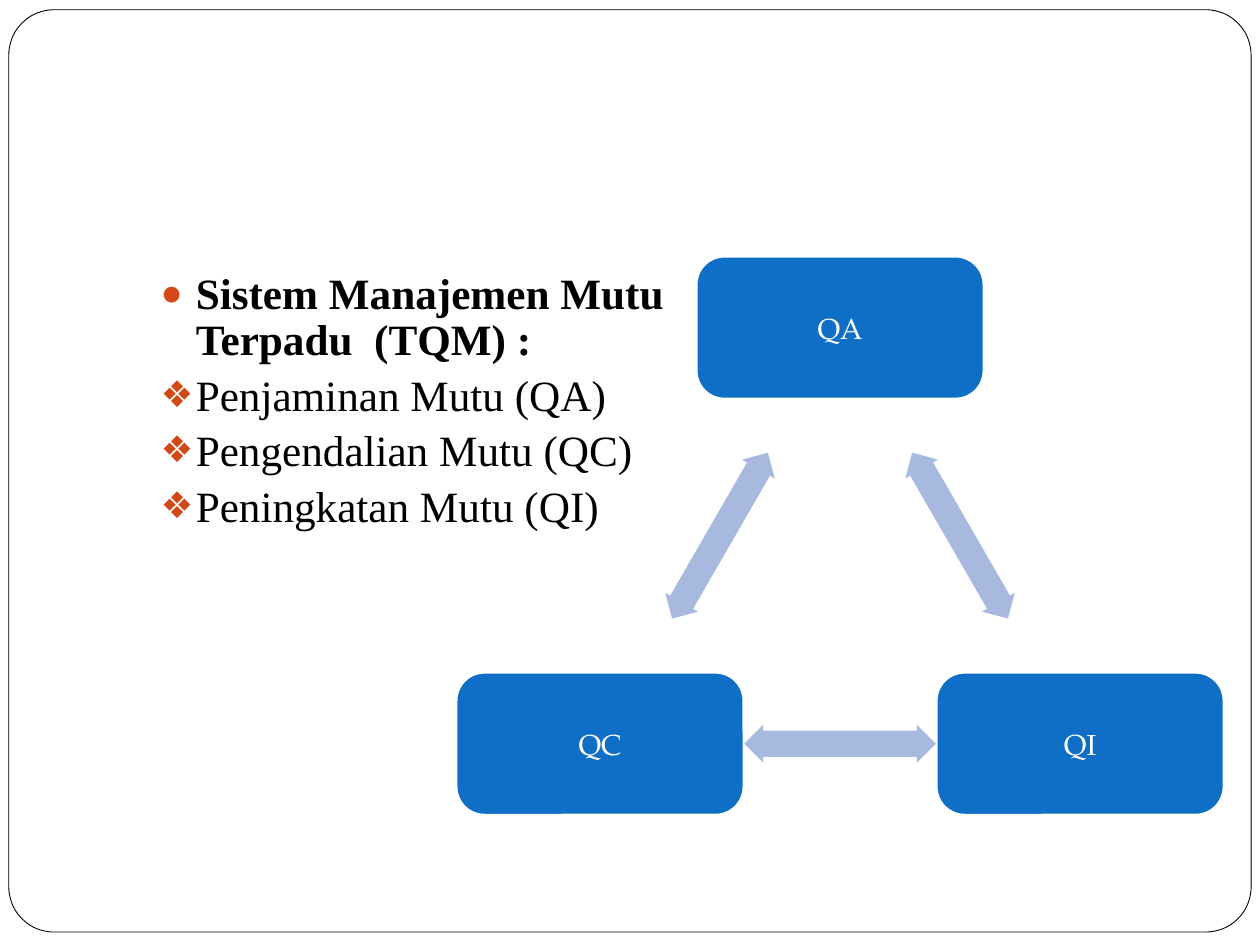
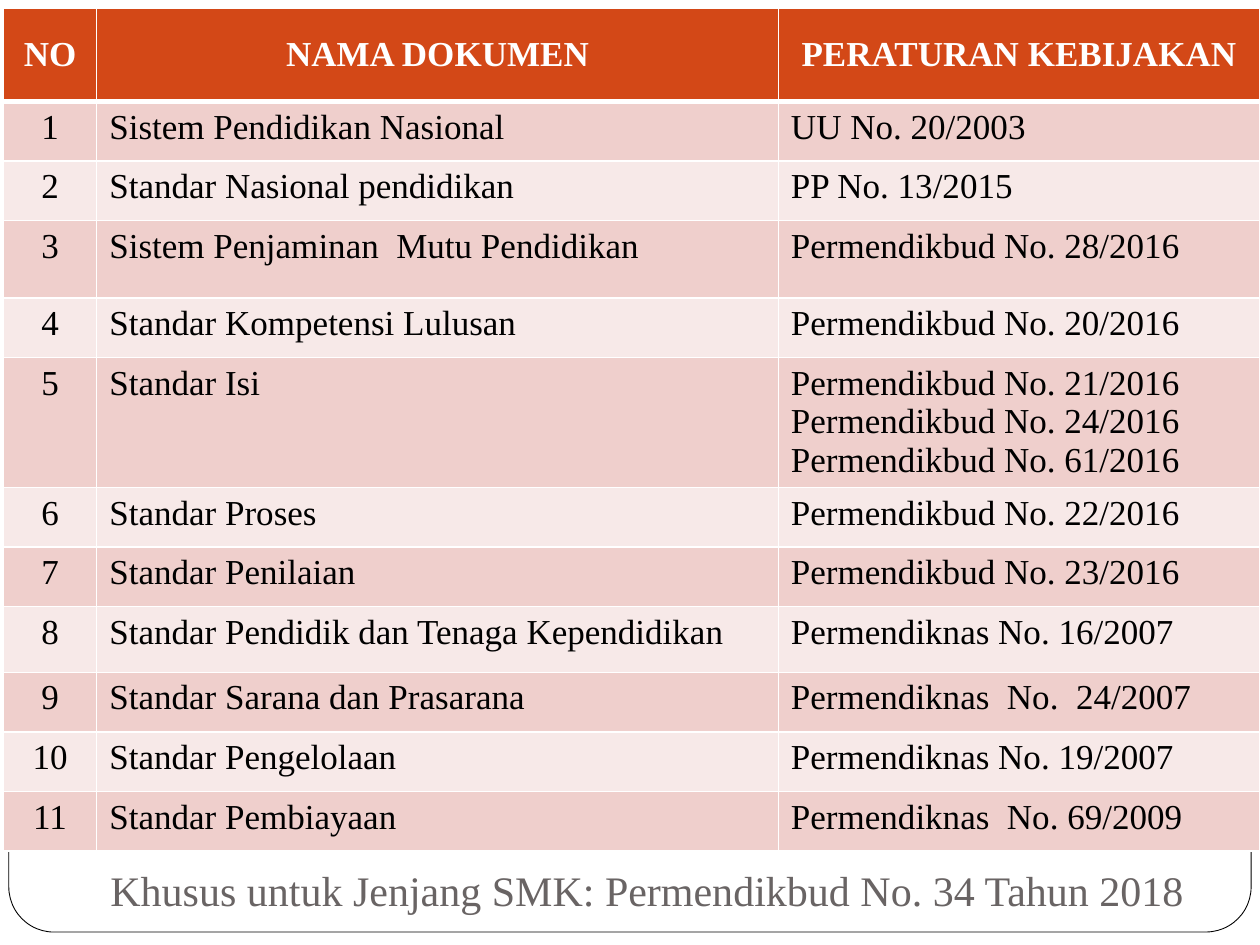
from math import atan2, degrees
from itertools import combinations
from lxml.etree import SubElement
from pptx import Presentation
from pptx.dml.color import RGBColor
from pptx.enum.shapes import MSO_SHAPE
from pptx.enum.text import MSO_ANCHOR, MSO_AUTO_SIZE, PP_ALIGN
from pptx.oxml.ns import qn
from pptx.util import Inches, Pt

W, H = Inches(10), Inches(7.5)
SERIF, PAGELLA = "Times New Roman", "TeX Gyre Pagella"
COLORS = {
    "white": "FFFFFF", "black": "000000", "accent": "D34817", "title": "696464",
    "box": "0F6FC6", "arrow": "A8B9DF", "odd": "EFCFCC", "even": "F7E9E8",
}
HEADING = "Sistem Manajemen Mutu Terpadu  (TQM) :"
POINTS = ["Penjaminan Mutu (QA)", "Pengendalian Mutu (QC)", "Peningkatan Mutu (QI)"]
BOX_CENTERS = {"QA": (66.67, 34.67), "QI": (85.72, 78.7), "QC": (47.62, 78.7)}
BOX_SIZE, ARROW_SIZE = (22.9, 15.2), (15.2, 4)
COLUMN_SHARES = [7.4, 54.1, 38.2]
ROW_SHARE = 6.31
TALL_ROWS = {0: 9.87, 3: 8.16, 5: 13.76, 8: 6.95}
HEADER = ["NO", "NAMA DOKUMEN", "PERATURAN KEBIJAKAN"]
REGULATIONS = [
    ("Sistem Pendidikan Nasional", "UU No. 20/2003"),
    ("Standar Nasional pendidikan", "PP No. 13/2015"),
    ("Sistem Penjaminan  Mutu Pendidikan", "Permendikbud No. 28/2016"),
    ("Standar Kompetensi Lulusan", "Permendikbud No. 20/2016"),
    ("Standar Isi", "Permendikbud No. 21/2016\nPermendikbud No. 24/2016\nPermendikbud No. 61/2016"),
    ("Standar Proses", "Permendikbud No. 22/2016"),
    ("Standar Penilaian", "Permendikbud No. 23/2016"),
    ("Standar Pendidik dan Tenaga Kependidikan", "Permendiknas No. 16/2007"),
    ("Standar Sarana dan Prasarana", "Permendiknas  No.  24/2007"),
    ("Standar Pengelolaan", "Permendiknas No. 19/2007"),
    ("Standar Pembiayaan", "Permendiknas  No. 69/2009"),
]


def color(name):
    """Return a named colour."""
    return RGBColor.from_string(COLORS[name])


def area(left, top, width, height):
    """Turn percentages of the slide into lengths."""
    return [int(share * side / 100) for share, side in zip((left, top, width, height), (W, H, W, H))]


def centered(center, size):
    """Return the area of the given size around a centre."""
    (x, y), (w, h) = center, size
    return area(x - w / 2, y - h / 2, w, h)


def place(sp, box):
    """Move and size a placeholder."""
    sp.left, sp.top, sp.width, sp.height = box


def format_text(tf, size, tone, font=SERIF, bold=False, align=PP_ALIGN.LEFT):
    """Format every run of a text frame."""
    for p in tf.paragraphs:
        p.alignment = align
        for r in p.runs:
            r.font.name, r.font.size, r.font.bold = font, Pt(size), bold
            r.font.color.rgb = color(tone)


def add_shape(s, kind, box, fill, adjustments, line=None, width=0):
    """Add a filled preset shape, with an outline if a line colour is given."""
    sp = s.shapes.add_shape(kind, *box)
    sp.shadow.inherit = False
    sp.fill.solid()
    sp.fill.fore_color.rgb = color(fill)
    for i, value in enumerate(adjustments):
        sp.adjustments[i] = value
    if line:
        sp.line.color.rgb = color(line)
        sp.line.width = Pt(width)
    else:
        sp.line.fill.background()
    return sp


def add_master_frame(prs, s):
    """Put the rounded page frame behind everything on the master."""
    sp = add_shape(s, MSO_SHAPE.ROUNDED_RECTANGLE, area(0.7, 1.03, 98.6, 97.6),
                   "white", [0.049], "black", 0.5)
    sp.element.nvSpPr.cNvPr.set("id", "20")
    prs.slide_master.shapes.element.insert(2, sp.element)


def add_bullet(p, char):
    """Give a paragraph its spacing, hanging indent and coloured bullet."""
    p.line_spacing, p.space_before = 0.9, Pt(5)
    pPr = p._p.get_or_add_pPr()
    pPr.set("marL", str(Inches(0.28)))
    pPr.set("indent", str(-Inches(0.28)))
    tone = SubElement(pPr, qn("a:buClr"))
    SubElement(tone, qn("a:srgbClr"), val=COLORS["accent"])
    SubElement(pPr, qn("a:buSzPct"), val="85000")
    SubElement(pPr, qn("a:buChar"), char=char)


def fill_body(sp):
    """Write the heading and its list of quality functions."""
    place(sp, area(11.74, 28.11, 47, 32.67))
    tf = sp.text_frame
    tf.text = "\n".join([HEADING, *POINTS])
    tf.auto_size = MSO_AUTO_SIZE.NONE
    format_text(tf, 24.7, "black")
    tf.paragraphs[0].runs[0].font.bold = True
    for i, p in enumerate(tf.paragraphs):
        add_bullet(p, "❖" if i else "●")


def add_box(s, label, center):
    """Add one labelled box of the cycle."""
    sp = add_shape(s, MSO_SHAPE.ROUNDED_RECTANGLE, centered(center, BOX_SIZE),
                   "box", [0.2], "white", 2)
    tf = sp.text_frame
    tf.text = label
    tf.vertical_anchor = MSO_ANCHOR.MIDDLE
    format_text(tf, 16.5, "white", PAGELLA, align=PP_ALIGN.CENTER)


def add_arrow(s, start, end):
    """Add a double arrow halfway between two box centres."""
    (x1, y1), (x2, y2) = start, end
    middle = (x1 + x2) / 2, (y1 + y2) / 2
    sp = add_shape(s, MSO_SHAPE.LEFT_RIGHT_ARROW, centered(middle, ARROW_SIZE), "arrow", [0.7, 0.5])
    sp.rotation = round(degrees(atan2((y2 - y1) * H, (x2 - x1) * W))) % 360


def add_borders(cell, bottom):
    """Draw white borders round a cell, with its own bottom width."""
    tcPr = cell._tc.get_or_add_tcPr()
    for side, width in (("L", 1), ("R", 1), ("T", 1), ("B", bottom)):
        ln = SubElement(tcPr, qn(f"a:ln{side}"), w=str(Pt(width)))
        fill = SubElement(ln, qn("a:solidFill"))
        SubElement(fill, qn("a:srgbClr"), val=COLORS["white"])


def fill_cell(cell, text, row, col):
    """Write and format one table cell."""
    is_header = row == 0
    cell.text = text
    add_borders(cell, 3 if is_header else 1)
    cell.fill.solid()
    cell.fill.fore_color.rgb = color("accent" if is_header else "odd" if row % 2 else "even")
    cell.vertical_anchor = MSO_ANCHOR.MIDDLE if is_header else MSO_ANCHOR.TOP
    align = PP_ALIGN.CENTER if is_header or col == 0 else PP_ALIGN.LEFT
    format_text(cell.text_frame, 20, "white" if is_header else "black", bold=is_header, align=align)


def add_regulation_table(s):
    """Add the numbered table of documents and regulations."""
    rows = [HEADER] + [(str(n), *entry) for n, entry in enumerate(REGULATIONS, 1)]
    heights = [TALL_ROWS.get(i, ROW_SHARE) for i in range(len(rows))]
    box = area(0.28, 0.87, sum(COLUMN_SHARES), sum(heights))
    table = s.shapes.add_table(len(rows), len(HEADER), *box).table
    for column, share in zip(table.columns, COLUMN_SHARES):
        column.width = int(W * share / 100)
    for i, (values, share) in enumerate(zip(rows, heights)):
        table.rows[i].height = int(H * share / 100)
        for j, text in enumerate(values):
            fill_cell(table.cell(i, j), text, i, j)


def set_title(s, text):
    """Write the slide title at the foot of the slide, in front of the rest."""
    title = s.shapes.title
    place(title, area(7.76, 85.73, 89.1, 12.4))
    tf = title.text_frame
    tf.text = text
    tf.auto_size = MSO_AUTO_SIZE.NONE
    tf.vertical_anchor = MSO_ANCHOR.BOTTOM
    tf.margin_bottom = Inches(0.1)
    format_text(tf, 24, "title")
    s.shapes.element.append(title.element)


def build_cycle_slide(prs):
    """Build the slide with the quality cycle."""
    s = prs.slides.add_slide(prs.slide_layouts[1])
    add_master_frame(prs, s)
    title = s.shapes.title.element
    title.getparent().remove(title)
    fill_body(s.placeholders[1])
    for label, center in BOX_CENTERS.items():
        add_box(s, label, center)
    for start, end in combinations(BOX_CENTERS.values(), 2):
        add_arrow(s, start, end)


def build_regulation_slide(prs):
    """Build the slide with the regulation table."""
    s = prs.slides.add_slide(prs.slide_layouts[5])
    add_regulation_table(s)
    set_title(s, "Khusus untuk Jenjang SMK: Permendikbud No. 34 Tahun 2018")


def main():
    """Build and save the presentation."""
    prs = Presentation()
    prs.slide_width, prs.slide_height = W, H
    build_cycle_slide(prs)
    build_regulation_slide(prs)
    prs.save("out.pptx")


if __name__ == "__main__":
    main()
